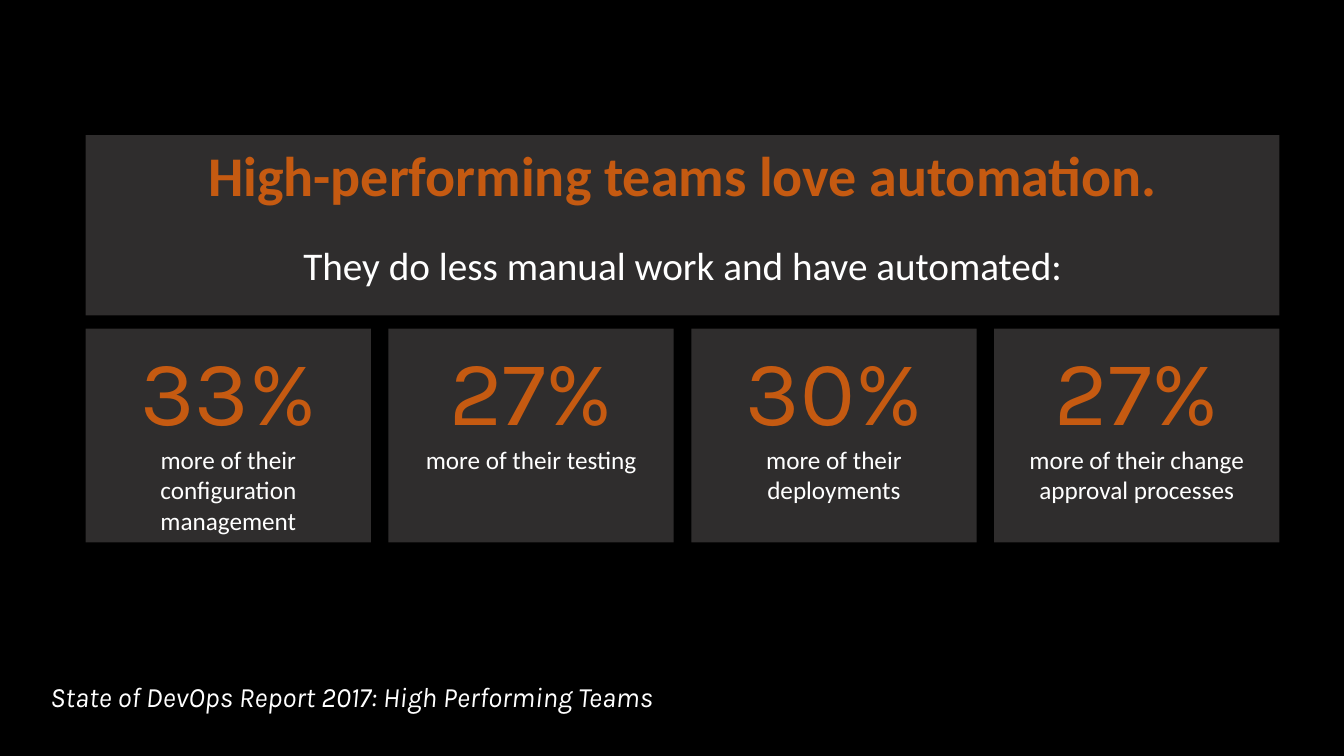
from lxml import etree
from pptx import Presentation
from pptx.dml.color import RGBColor
from pptx.enum import shapes, text
from pptx.oxml.ns import qn
from pptx.util import Inches, Pt

HEADLINE = "High-performing teams love automation."
INTRO = "They do less manual work and have automated:"
FINDINGS = [
    ("33%", "more of their configuration management"),
    ("27%", "more of their testing"),
    ("30%", "more of their deployments"),
    ("27%", "more of their change approval processes"),
]
REPORT = "State of DevOps Report 2017: High Performing Teams"

BLACK = RGBColor(0x00, 0x00, 0x00)
GRAY = RGBColor(0x3B, 0x38, 0x38)
ORANGE = RGBColor(0xC5, 0x5A, 0x11)
WHITE = RGBColor(0xFF, 0xFF, 0xFF)
PANEL_ALPHA = 81000

LEFT, WIDTH = 0.85, 11.84
HEADER_TOP, HEADER_HEIGHT = 1.34, 1.79
CARD_TOP, CARD_WIDTH, CARD_HEIGHT = 3.26, 2.83, 2.12
CARD_STEP = (WIDTH - CARD_WIDTH) / (len(FINDINGS) - 1)


def write(paragraph, words, font_name, size, color, bold=False, italic=False):
    paragraph.text = words
    font = paragraph.font
    font.name, font.size = font_name, Pt(size)
    font.bold, font.italic = bold, italic
    font.color.rgb = color


def add_panel(slide, left, top, width, height, first, second, gap=0):
    panel = slide.shapes.add_shape(
        shapes.MSO_SHAPE.RECTANGLE,
        Inches(left), Inches(top), Inches(width), Inches(height))
    panel.shadow.inherit = False
    panel.line.fill.background()
    panel.fill.solid()
    panel.fill.fore_color.rgb = GRAY
    tint = panel.fill._xPr.find(qn("a:solidFill"))[0]
    etree.SubElement(tint, qn("a:alpha"), val=str(PANEL_ALPHA))
    frame = panel.text_frame
    frame.word_wrap = True
    frame.vertical_anchor = text.MSO_ANCHOR.TOP
    lead, detail = frame.paragraphs[0], frame.add_paragraph()
    write(lead, *first)
    write(detail, *second)
    lead.alignment = detail.alignment = text.PP_ALIGN.CENTER
    if gap:
        detail.space_before = Pt(gap)


def main():
    deck = Presentation()
    deck.slide_width, deck.slide_height = Inches(13.33), Inches(7.5)
    slide = deck.slides.add_slide(deck.slide_layouts[6])
    slide.background.fill.solid()
    slide.background.fill.fore_color.rgb = BLACK

    add_panel(slide, LEFT, HEADER_TOP, WIDTH, HEADER_HEIGHT,
              (HEADLINE, "Calibri", 40, ORANGE, True),
              (INTRO, "Calibri", 28, WHITE), gap=24.4)
    for column, (share, subject) in enumerate(FINDINGS):
        add_panel(slide, LEFT + column * CARD_STEP, CARD_TOP,
                  CARD_WIDTH, CARD_HEIGHT,
                  (share, "Karla", 66, ORANGE),
                  (subject, "Calibri", 18, WHITE))

    report = slide.shapes.add_textbox(
        Inches(0.4), Inches(6.2), Inches(11.5), Inches(1.45)).text_frame
    report.word_wrap = True
    report.vertical_anchor = text.MSO_ANCHOR.MIDDLE
    write(report.paragraphs[0], REPORT, "Karla", 20, WHITE, italic=True)
    report.paragraphs[0].line_spacing = 0.9

    deck.save("out.pptx")


if __name__ == "__main__":
    main()
